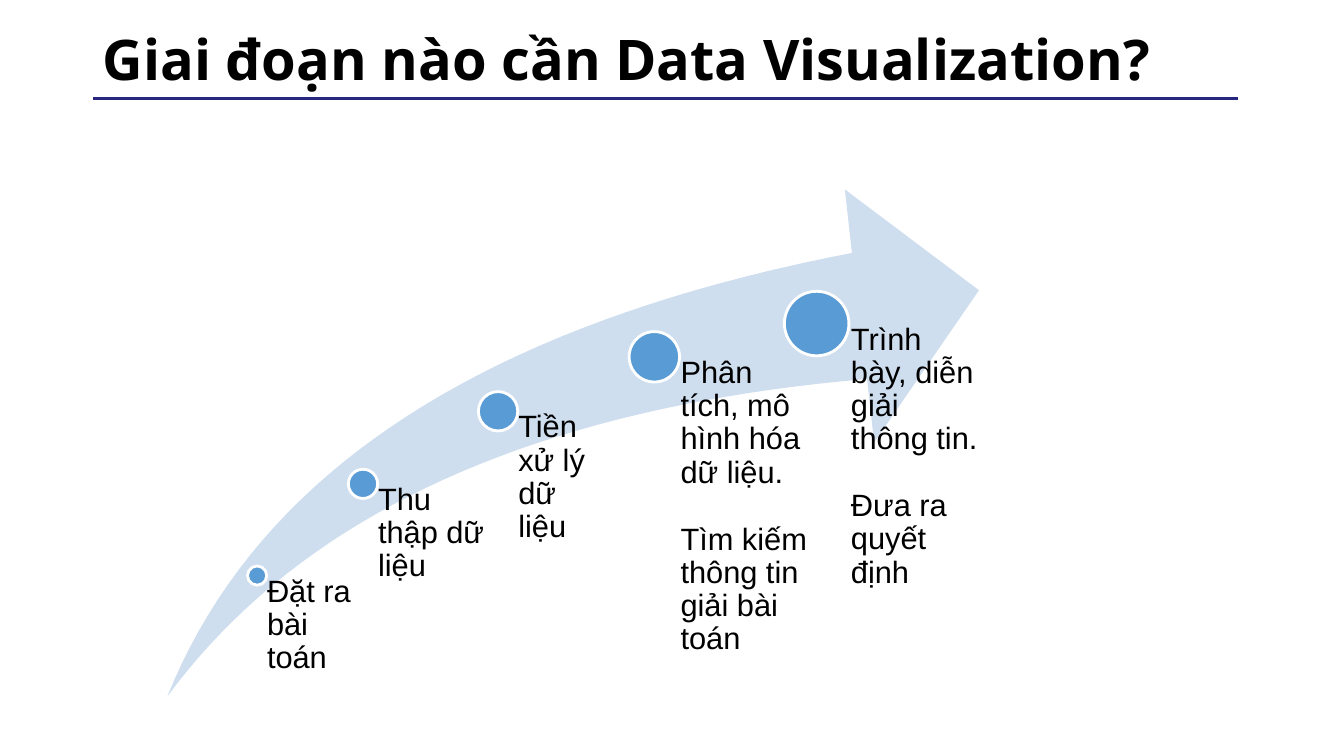
"""Build the slide showing the five stages of a data project along a rising arrow."""
from dataclasses import dataclass

from lxml.etree import SubElement
from pptx import Presentation
from pptx.dml.color import RGBColor
from pptx.enum.shapes import MSO_CONNECTOR, MSO_SHAPE
from pptx.enum.text import MSO_ANCHOR
from pptx.oxml.ns import qn
from pptx.util import Emu, Pt

PX = 9144
COLORS = {
    "text": "000000",
    "rule": "272780",
    "arrow": "CFDEEF",
    "dot": "599BD5",
    "outline": "FFFFFF",
}
ARROW_BOTTOM = 691
STAGE_GAP = Pt(24)

Point = tuple[float, float]


@dataclass(frozen=True)
class Stage:
    """A dot on the arrow, with the text that hangs from its centre."""
    cx: int
    cy: int
    diameter: int
    width: int
    height: int
    inset: int
    lines: tuple[str, ...]


STAGES = [
    Stage(255, 571, 19, 105, 120, 10, ("Đặt ra bài toán",)),
    Stage(360, 480, 29, 134, 211, 15, ("Thu thập dữ liệu",)),
    Stage(494, 408, 39, 105, 283, 20, ("Tiền xử lý dữ liệu",)),
    Stage(649, 354, 50, 161, 337, 26,
          ("Phân tích, mô hình hóa dữ liệu.", "Tìm kiếm thông tin giải bài toán")),
    Stage(810, 321, 64, 161, 370, 34,
          ("Trình bày, diễn giải thông tin.", "Đưa ra quyết định")),
]


def px(n: float) -> Emu:
    """Turn px into EMU."""
    return Emu(round(n * PX))


def rgb(name: str) -> RGBColor:
    """Look up a named colour."""
    return RGBColor.from_string(COLORS[name])


def bezier(a: Point, b: Point, c: Point, d: Point, steps: int = 40) -> list[Point]:
    """Return points along a cubic curve, without its start."""
    points = []
    for i in range(1, steps + 1):
        t = i / steps
        u = 1 - t
        weights = (u ** 3, 3 * u * u * t, 3 * u * t * t, t ** 3)
        x, y = (sum(w * p[axis] for w, p in zip(weights, (a, b, c, d)))
                for axis in (0, 1))
        points.append((x, y))
    return points


def add_text(s, box: tuple[int, int, int, int], insets: tuple[int, int, int, int],
             lines: tuple[str, ...], font: str, size: int, bold: bool = False):
    """Add a wrapped text box and return its text frame."""
    tf = s.shapes.add_textbox(*map(px, box)).text_frame
    tf.word_wrap = True
    tf.margin_left, tf.margin_top, tf.margin_right, tf.margin_bottom = map(px, insets)
    for i, line in enumerate(lines):
        p = tf.add_paragraph() if i else tf.paragraphs[0]
        p.text = line
        p.line_spacing = 0.9
        if i:
            p.space_before = STAGE_GAP
        for r in p.runs:
            r.font.name = font
            r.font.size = Pt(size)
            r.font.bold = bold
            r.font.color.rgb = rgb("text")
    return tf


def add_heading(s) -> None:
    """Add the title and the rule below it."""
    rule = s.shapes.add_connector(MSO_CONNECTOR.STRAIGHT,
                                  px(1228), px(98), px(92), px(98))
    rule.line.color.rgb = rgb("rule")
    rule.line.width = Pt(2)
    SubElement(rule._element.spPr, qn("a:effectLst"))
    tf = add_text(s, (92, 17, 1150, 89), (10, 5, 10, 5),
                  ("Giai đoạn nào cần Data Visualization?",), "Open Sans", 40, True)
    tf.vertical_anchor = MSO_ANCHOR.MIDDLE


def add_arrow(s) -> None:
    """Add the curved arrow."""
    tail = (166, ARROW_BOTTOM)
    upper = bezier(tail, (256, 467), (482, 321), (845, 251))
    head = [(838, 188), (971, 288), (867, 439), (860, 376)]
    lower = bezier(head[-1], (532, 404), (300, 509), tail)
    builder = s.shapes.build_freeform(px(tail[0]), px(tail[1]), scale=1.0)
    builder.add_line_segments([(px(x), px(y)) for x, y in upper + head + lower],
                              close=True)
    sp = builder.convert_to_shape()
    sp.shadow.inherit = False
    sp.fill.solid()
    sp.fill.fore_color.rgb = rgb("arrow")
    sp.line.fill.background()


def add_stage(s, stage: Stage) -> None:
    """Add one dot and its text."""
    d = stage.diameter
    sp = s.shapes.add_shape(MSO_SHAPE.OVAL, px(stage.cx - d / 2), px(stage.cy - d / 2),
                            px(d), px(d))
    sp.shadow.inherit = False
    sp.fill.solid()
    sp.fill.fore_color.rgb = rgb("dot")
    sp.line.color.rgb = rgb("outline")
    sp.line.width = Pt(2)
    add_text(s, (stage.cx, stage.cy, stage.width, stage.height),
             (stage.inset, 0, 0, 0), stage.lines, "Arial", 22)


def main() -> None:
    """Build and save the slide."""
    prs = Presentation()
    prs.slide_width, prs.slide_height = px(1333), px(750)
    s = prs.slides.add_slide(prs.slide_layouts[6])
    add_heading(s)
    add_arrow(s)
    for stage in STAGES:
        add_stage(s, stage)
    prs.save("out.pptx")


if __name__ == "__main__":
    main()
